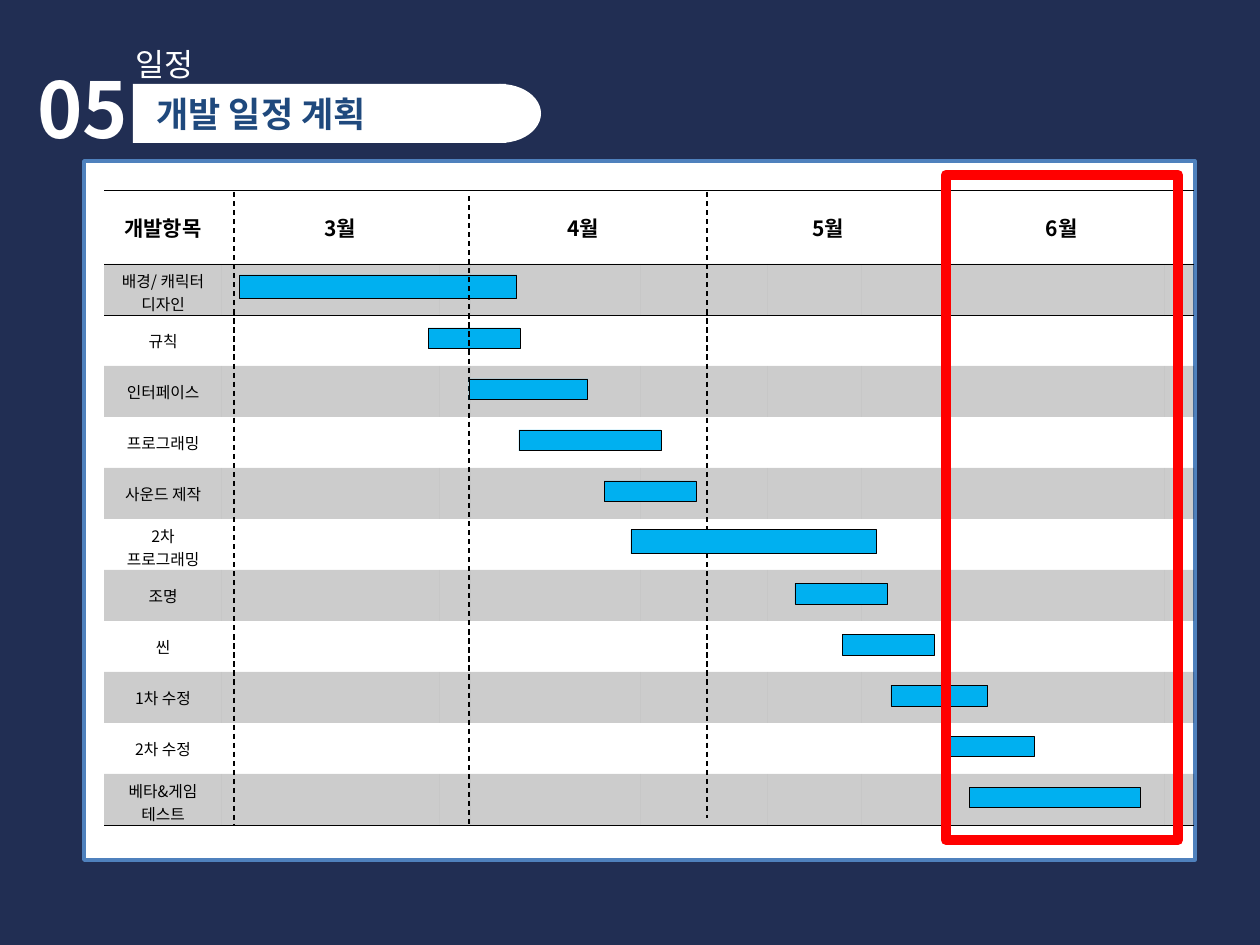
import lxml.etree
import pptx
import pptx.dml.color
import pptx.enum.dml
import pptx.enum.shapes
import pptx.enum.text
import pptx.oxml.ns
import pptx.util

FONT = "Noto Sans CJK KR"
SHAPE = pptx.enum.shapes.MSO_SHAPE
ALIGN = pptx.enum.text.PP_ALIGN
ANCHOR = pptx.enum.text.MSO_ANCHOR
PLAIN_STYLE = "{2D5ABB26-0587-4C30-8999-92F81FD0307C}"
HEADER_H, ROW_H = 74, 51
COLS = [118, 218, 19, 170, 127, 94, 82, 221, 17]
HEADINGS = [(0, "개발항목", 0), (1, "3월", 18), (3, "4월", 56), (5, "5월", 28), (7, "6월", 16)]
TASKS = [
    ("배경/ 캐릭터\n디자인", 136, 277, 24),
    ("규칙", 324, 92, 21),
    ("인터페이스", 365, 119, 21),
    ("프로그래밍", 415, 142, 21),
    ("사운드 제작", 500, 92, 21),
    ("2차\n프로그래밍", 527, 246, 24),
    ("조명", 691, 92, 21),
    ("씬", 738, 92, 21),
    ("1차 수정", 787, 97, 21),
    ("2차 수정", 838, 92, 21),
    ("베타&게임\n테스트", 865, 171, 21),
]
MONTH_LINES = [(130, 2, 635), (365, 6, 635), (603, 2, 628), (845, 0, 635)]


def px(n):
    return pptx.util.Emu(round(n * 914400 / 126))


def rgb(color):
    return pptx.dml.color.RGBColor.from_string(color)


def qn(tag):
    return pptx.oxml.ns.qn(tag)


def style(p, size, color, bold=False, align=ALIGN.LEFT):
    p.alignment = align
    f = p.font
    f.size, f.bold, f.name = pptx.util.Pt(size), bold, FONT
    f.color.rgb = rgb(color)
    lxml.etree.SubElement(p._p.pPr.find(qn("a:defRPr")), qn("a:ea"), typeface=FONT)


def add_shape(s, kind, x, y, w, h, fill=None, line=None, width=0):
    sp = s.shapes.add_shape(kind, px(x), px(y), px(w), px(h))
    sp.shadow.inherit = False
    if fill:
        sp.fill.solid()
        sp.fill.fore_color.rgb = rgb(fill)
    else:
        sp.fill.background()
    if line:
        sp.line.color.rgb = rgb(line)
        sp.line.width = pptx.util.Pt(width)
    else:
        sp.line.fill.background()
    return sp


def add_label(s, x, y, w, h, text, size, bold):
    tf = s.shapes.add_textbox(px(x), px(y), px(w), px(h)).text_frame
    tf.word_wrap = True
    tf.text = text
    style(tf.paragraphs[0], size, "FFFFFF", bold)


def add_header(s, x, y):
    add_label(s, x, y + 16, 139, 106, "05", 44, True)
    add_shape(s, SHAPE.RECTANGLE, x + 108, y + 45, 373, 59, "FFFFFF")
    add_shape(s, SHAPE.OVAL, x + 434, y + 45, 82, 59, "FFFFFF")
    title = s.shapes.title
    title.left, title.top, title.width, title.height = px(x + 119), px(y + 47), px(368), px(55)
    tf = title.text_frame
    tf.text = "개발 일정 계획"
    tf.auto_size = pptx.enum.text.MSO_AUTO_SIZE.NONE
    tf.vertical_anchor = ANCHOR.TOP
    style(tf.paragraphs[0], 20, "1F497D", True)
    s.shapes._spTree.append(title._element)
    add_label(s, x + 98, y, 282, 50, "일정", 18, False)


def write_cell(cell, text, size, bold=False, shift=0):
    cell.text = text
    cell.margin_left, cell.margin_right = px(6 + shift), px(6)
    two_lines = "\n" in text
    cell.margin_top, cell.margin_bottom = (px(5), px(0)) if two_lines else (px(6), px(6))
    for p in cell.text_frame.paragraphs:
        style(p, size, "000000", bold, ALIGN.CENTER)


def add_borders(cell, sides):
    tc_pr = cell._tc.get_or_add_tcPr()
    for i, side in enumerate(sides):
        ln = lxml.etree.Element(qn("a:ln" + side), w=str(pptx.util.Pt(0.45)))
        fill = lxml.etree.SubElement(ln, qn("a:solidFill"))
        lxml.etree.SubElement(fill, qn("a:srgbClr"), val="000000")
        tc_pr.insert(i, ln)


def add_table(s, x, y):
    height = HEADER_H + ROW_H * len(TASKS)
    frame = s.shapes.add_table(len(TASKS) + 1, len(COLS), px(x), px(y), px(sum(COLS)), px(height))
    table = frame.table
    table.first_row = table.horz_banding = False
    table._tbl.tblPr.find(qn("a:tableStyleId")).text = PLAIN_STYLE
    for col, w in zip(table.columns, COLS):
        col.width = px(w)
    borders = {0: "TB", 1: "T", len(TASKS): "B"}
    for i, row in enumerate(table.rows):
        row.height = px(ROW_H if i else HEADER_H)
        for cell in row.cells:
            cell.vertical_anchor = ANCHOR.MIDDLE
            cell.margin_top = cell.margin_bottom = 0
            if i % 2:
                cell.fill.solid()
                cell.fill.fore_color.rgb = rgb("000000")
                color = cell._tc.tcPr.find(".//" + qn("a:srgbClr"))
                lxml.etree.SubElement(color, qn("a:alpha"), val="20000")
            else:
                cell.fill.background()
            add_borders(cell, borders.get(i, ""))
    for col, text, shift in HEADINGS:
        write_cell(table.cell(0, col), text, 12, True, shift)
    for i, task in enumerate(TASKS, 1):
        write_cell(table.cell(i, 0), task[0], 9)


def add_bars(s, x, y, first, last):
    for i in range(first, last):
        _, left, w, h = TASKS[i]
        middle = y + HEADER_H + ROW_H * i + 23
        add_shape(s, SHAPE.RECTANGLE, x + left, middle - h // 2, w, h, "00B0F0", "000000", 0.5)


def add_month_lines(s, x, y):
    for left, top, bottom in MONTH_LINES:
        line = s.shapes.add_connector(
            pptx.enum.shapes.MSO_CONNECTOR.STRAIGHT,
            px(x + left), px(y + top), px(x + left), px(y + bottom))
        line.line.color.rgb = rgb("000000")
        line.line.width = pptx.util.Pt(0.75)
        line.line.dash_style = pptx.enum.dml.MSO_LINE.DASH
        lxml.etree.SubElement(line._element.spPr, qn("a:effectLst"))


def add_schedule(s, x, y, w, h):
    add_shape(s, SHAPE.RECTANGLE, x, y, w, h, "FFFFFF", "4F81BD", 2)
    left, top = x + 20, y + 29
    add_table(s, left, top)
    add_bars(s, left, top, 0, 2)
    add_month_lines(s, left, top)
    add_bars(s, left, top, 2, len(TASKS))
    add_shape(s, SHAPE.RECTANGLE, x + 862, y + 14, 232, 665, None, "FF0000", 6)


def main():
    prs = pptx.Presentation()
    prs.slide_width, prs.slide_height = px(1260), px(945)
    s = prs.slides.add_slide(prs.slide_layouts[5])
    s.background.fill.solid()
    s.background.fill.fore_color.rgb = rgb("212E53")
    add_schedule(s, 84, 161, 1111, 699)
    add_header(s, 25, 39)
    prs.save("out.pptx")


if __name__ == "__main__":
    main()
